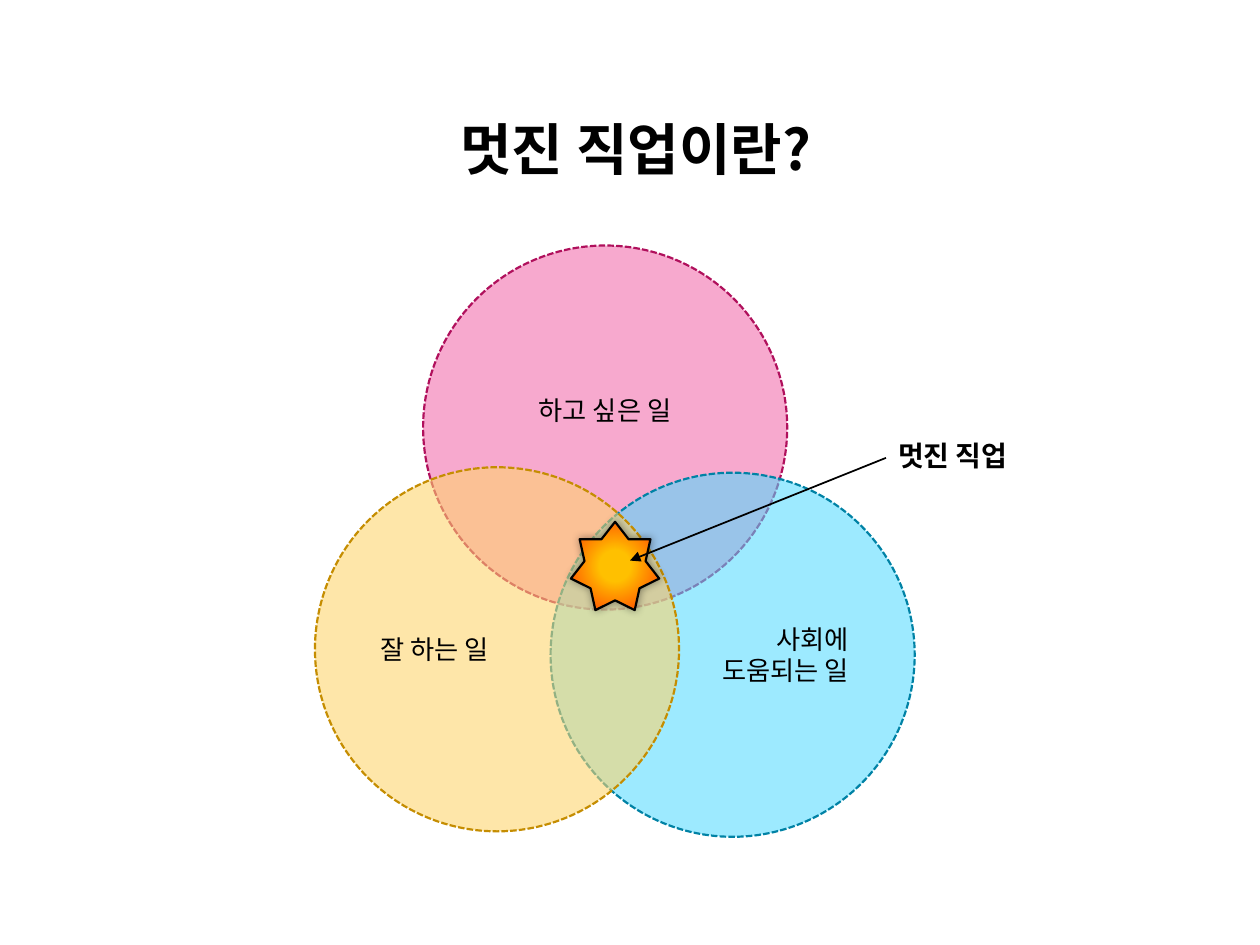
from pptx import Presentation
from pptx.dml.color import RGBColor
from pptx.enum.dml import MSO_LINE
from pptx.enum.shapes import MSO_CONNECTOR, MSO_SHAPE
from pptx.enum.text import MSO_ANCHOR, PP_ALIGN
from pptx.oxml import parse_xml
from pptx.oxml.ns import qn
from pptx.util import Cm, Pt
from lxml.etree import SubElement

FONT = "Noto Sans CJK KR"
DRAWING_NS = "http://schemas.openxmlformats.org/drawingml/2006/main"
CIRCLE_SIZE = 7.34
COLORS = {
    "black": "000000",
    "pink": "F273AF", "pink_line": "B0105C",
    "blue": "51DAFF", "blue_line": "0082A5",
    "yellow": "FED46C", "yellow_line": "C58D01",
    "star_inner": "FFC000", "star_outer": "FF6600",
}


def rgb(name):
    return RGBColor.from_string(COLORS[name])


def write_lines(frame, lines, size, align, bold=False):
    frame.word_wrap = True
    for index, line in enumerate(lines):
        para = frame.paragraphs[0] if index == 0 else frame.add_paragraph()
        para.alignment = align
        span = para.add_run()
        span.text = line
        span.font.size = Pt(size)
        span.font.bold = bold
        span.font.color.rgb = rgb("black")
        span.font.name = FONT
        SubElement(span.font._element, qn("a:ea"), typeface=FONT)


def add_label(page, left, top, width, height, text, size, align):
    box = page.shapes.add_textbox(Cm(left), Cm(top), Cm(width), Cm(height))
    write_lines(box.text_frame, [text], size, align, bold=True)
    return box


def add_circle(page, left, top, color, opacity, lines, align, lift=0):
    circle = page.shapes.add_shape(
        MSO_SHAPE.OVAL, Cm(left), Cm(top), Cm(CIRCLE_SIZE), Cm(CIRCLE_SIZE))
    circle.shadow.inherit = False
    circle.fill.solid()
    circle.fill.fore_color.rgb = rgb(color)
    tint = circle._element.spPr.find(qn("a:solidFill"))[0]
    SubElement(tint, qn("a:alpha"), val=str(opacity * 1000))
    circle.line.color.rgb = rgb(color + "_line")
    circle.line.width = Pt(1.25)
    circle.line.dash_style = MSO_LINE.SQUARE_DOT
    frame = circle.text_frame
    frame.vertical_anchor = MSO_ANCHOR.MIDDLE
    frame.margin_bottom = Cm(0.13 + lift)
    write_lines(frame, lines, 15, align)


def add_star(page, left, top, size):
    star = page.shapes.add_shape(
        MSO_SHAPE.STAR_7_POINT, Cm(left), Cm(top), Cm(size), Cm(size))
    star.line.color.rgb = rgb("black")
    star.line.width = Pt(1.25)
    star.fill.solid()
    properties = star._element.spPr
    gradient = parse_xml(
        f'<a:gradFill xmlns:a="{DRAWING_NS}" rotWithShape="1"><a:gsLst>'
        f'<a:gs pos="25000"><a:srgbClr val="{COLORS["star_inner"]}"/></a:gs>'
        f'<a:gs pos="73000"><a:srgbClr val="{COLORS["star_outer"]}"/></a:gs>'
        '</a:gsLst><a:path path="circle">'
        '<a:fillToRect l="50000" t="50000" r="50000" b="50000"/>'
        '</a:path></a:gradFill>')
    properties.replace(properties.find(qn("a:solidFill")), gradient)
    star.shadow.inherit = False
    glow = SubElement(properties.find(qn("a:effectLst")), qn("a:outerShdw"),
                      blurRad=str(Pt(5)), dist="0", dir="0",
                      algn="ctr", rotWithShape="0")
    shade = SubElement(glow, qn("a:srgbClr"), val=COLORS["black"])
    SubElement(shade, qn("a:alpha"), val="40000")


def add_arrow(page, label, end_x, end_y):
    arrow = page.shapes.add_connector(
        MSO_CONNECTOR.STRAIGHT, label.left, label.top + label.height // 2,
        Cm(end_x), Cm(end_y))
    arrow.begin_connect(label, 1)
    arrow.line.color.rgb = rgb("black")
    arrow.line.width = Pt(1)
    SubElement(arrow.line._get_or_add_ln(), qn("a:tailEnd"), type="triangle")
    SubElement(arrow._element.spPr, qn("a:effectLst"))


def main():
    deck = Presentation()
    deck.slide_width, deck.slide_height = Cm(25.4), Cm(19.05)
    page = deck.slides.add_slide(deck.slide_layouts[6])

    add_circle(page, 8.53, 4.95, "pink", 61, ["하고 싶은 일"],
               PP_ALIGN.CENTER, lift=0.7)
    add_circle(page, 11.1, 9.53, "blue", 56, ["사회에", "도움되는 일"],
               PP_ALIGN.RIGHT)
    job_label = add_label(page, 17.86, 8.72, 3.58, 1.02, "멋진 직업", 16,
                          PP_ALIGN.LEFT)
    add_label(page, 5.77, 2.18, 14.1, 1.63, "멋진 직업이란?", 32,
              PP_ALIGN.CENTER)
    add_circle(page, 6.35, 9.42, "yellow", 58, ["잘 하는 일"], PP_ALIGN.LEFT)
    add_star(page, 11.51, 10.52, 1.78)
    add_arrow(page, job_label, 12.7, 11.3)

    deck.save("out.pptx")


if __name__ == "__main__":
    main()
